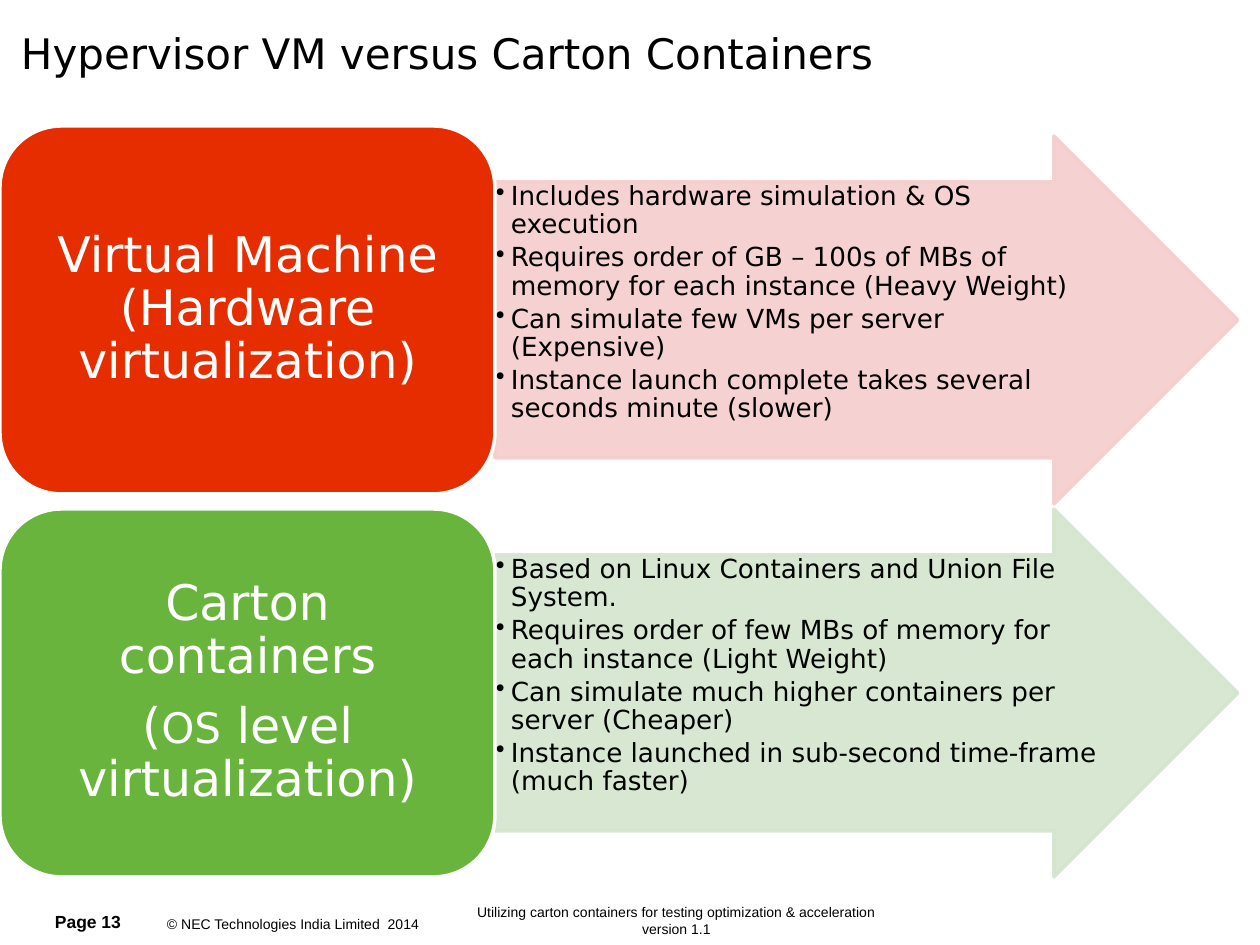
from lxml import etree
from pptx import Presentation
from pptx.dml.color import RGBColor
from pptx.enum.shapes import MSO_SHAPE
from pptx.enum.text import MSO_ANCHOR, PP_ALIGN
from pptx.oxml.ns import qn
from pptx.util import Pt

PX = 914400 // 126
ARROW, ROUND = MSO_SHAPE.RIGHT_ARROW, MSO_SHAPE.ROUNDED_RECTANGLE
TOP, MID = MSO_ANCHOR.TOP, MSO_ANCHOR.MIDDLE
LEFT, CENTER = PP_ALIGN.LEFT, PP_ALIGN.CENTER
BLACK, WHITE = RGBColor(0, 0, 0), RGBColor(255, 255, 255)
RED, PINK = RGBColor(0xE6, 0x2D, 0x00), RGBColor(0xF5, 0xCD, 0xCC)
GREEN, MINT = RGBColor(0x69, 0xB4, 0x3C), RGBColor(0xD4, 0xE5, 0xCE)
SANS, ARIAL = "DejaVu Sans", "Arial"

TITLE = "Hypervisor VM versus Carton Containers"

# Each paragraph is a list of (text, size) runs in the name boxes
ROWS = [
    {
        "box_top": 126, "arrow_top": 136, "fill": RED, "tint": PINK,
        "name": [[("Virtual Machine (Hardware virtualization)", 28)]],
        "points": [
            "Includes hardware simulation & OS execution",
            "Requires order of GB – 100s of MBs of memory for each instance (Heavy Weight)",
            "Can simulate few VMs per server (Expensive)",
            "Instance launch complete takes several seconds minute (slower)",
        ],
    },
    {
        "box_top": 509, "arrow_top": 509, "fill": GREEN, "tint": MINT,
        "name": [[("Carton containers", 28)],
                 [("(", 28), ("OS", 24), (" level virtualization)", 28)]],
        "points": [
            "Based on Linux Containers and Union File System.",
            "Requires order of few MBs of memory for each instance (Light Weight)",
            "Can simulate much higher containers per server (Cheaper)",
            "Instance launched in sub-second time-frame (much faster)",
        ],
    },
]

# Text, place, size, bold, anchor, alignment, insets
FOOTER = [
    ("Page 13", (42, 898, 112, 47), 10, True, MID, LEFT, (13, 0, 0, 0)),
    ("© NEC Technologies India Limited  2014", (154, 901, 330, 45),
     8, False, MID, LEFT, (13, 6, 13, 6)),
    ("Utilizing carton containers for testing optimization & acceleration version 1.1",
     (451, 898, 451, 47), 8, False, TOP, CENTER, (13, 6, 13, 6)),
]

BOX_W, ARROW_W, ROW_H = 495, 743, 368
INSET = 18                     # name text inside its rounded box
TEXT_W, TEXT_H = 606, 276      # bullets inside the arrow shaft
INDENT = 15


def px(*vals):
    return [v * PX for v in vals]


def add_text(slide, place, paras, font, color, anchor, align, insets,
             bold=False, lines=None, after=None, bullet=False):
    frame = slide.shapes.add_textbox(*px(*place)).text_frame
    frame.word_wrap = True
    frame.vertical_anchor = anchor
    (frame.margin_left, frame.margin_top,
     frame.margin_right, frame.margin_bottom) = px(*insets)
    for i, runs in enumerate(paras):
        para = frame.add_paragraph() if i else frame.paragraphs[0]
        para.alignment = align
        if lines:
            para.line_spacing = lines
            para.space_after = Pt(after)
        if bullet:
            props = para._p.get_or_add_pPr()
            props.set("marL", str(INDENT * PX))
            props.set("indent", str(-INDENT * PX))
            etree.SubElement(props, qn("a:buChar")).set("char", "•")
        for text, size in runs:
            run = para.add_run()
            run.text = text
            run.font.name = font
            run.font.size = Pt(size)
            run.font.bold = bold
            run.font.color.rgb = color


def add_block(slide, kind, place, fill, line, alpha=None):
    shape = slide.shapes.add_shape(kind, *px(*place))
    shape.shadow.inherit = False
    shape.fill.solid()
    shape.fill.fore_color.rgb = fill
    shape.line.color.rgb = line
    shape.line.width = Pt(2)
    if alpha:
        for color in shape._element.spPr.iter(qn("a:srgbClr")):
            etree.SubElement(color, qn("a:alpha")).set("val", str(alpha * 1000))
    return shape


def main():
    prs = Presentation()
    prs.slide_width, prs.slide_height = px(1260, 945)
    slide = prs.slides.add_slide(prs.slide_layouts[6])

    # Footer and title
    for text, place, size, bold, anchor, align, insets in FOOTER:
        add_text(slide, place, [[(text, size)]], ARIAL, BLACK,
                 anchor, align, insets, bold)
    add_text(slide, (21, 16, 1218, 74), [[(TITLE, 24)]], SANS, BLACK,
             MID, LEFT, (0, 6, 0, 6))

    for row in ROWS:
        # Arrow with its points
        top = row["arrow_top"]
        arrow = add_block(slide, ARROW, (BOX_W, top, ARROW_W, ROW_H),
                          row["tint"], row["tint"], 90)
        arrow.adjustments[0], arrow.adjustments[1] = 0.75, 0.5
        add_text(slide, (BOX_W, top + (ROW_H - TEXT_H) // 2, TEXT_W, TEXT_H),
                 [[(point, 15)] for point in row["points"]], SANS, BLACK,
                 TOP, LEFT, (1, 1, 1, 1), lines=0.9, after=2.6, bullet=True)

        # Rounded box with its name
        top = row["box_top"]
        add_block(slide, ROUND, (0, top, BOX_W, ROW_H), row["fill"], WHITE)
        add_text(slide, (INSET, top + INSET, BOX_W - 2 * INSET, ROW_H - 2 * INSET),
                 row["name"], SANS, WHITE, MID, CENTER, (15, 8, 15, 8),
                 lines=0.9, after=9.8)

    prs.save("out.pptx")


if __name__ == "__main__":
    main()
